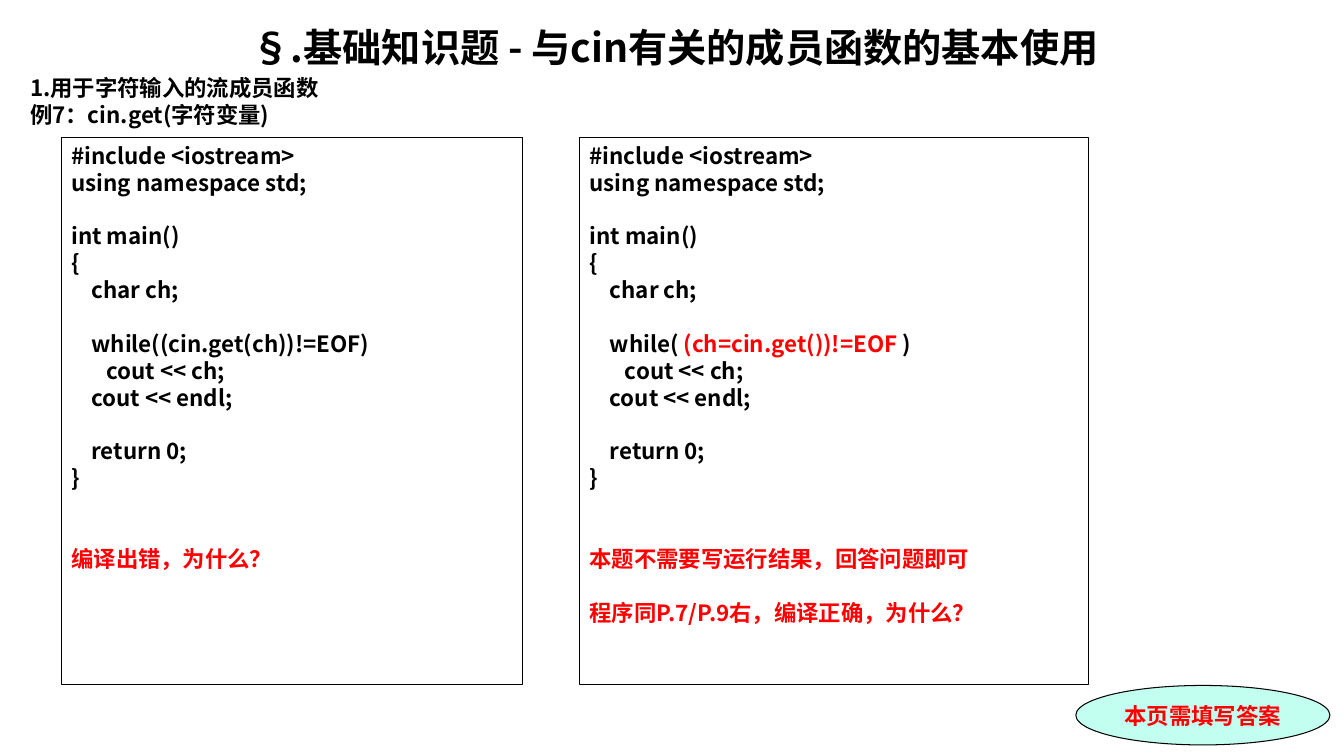
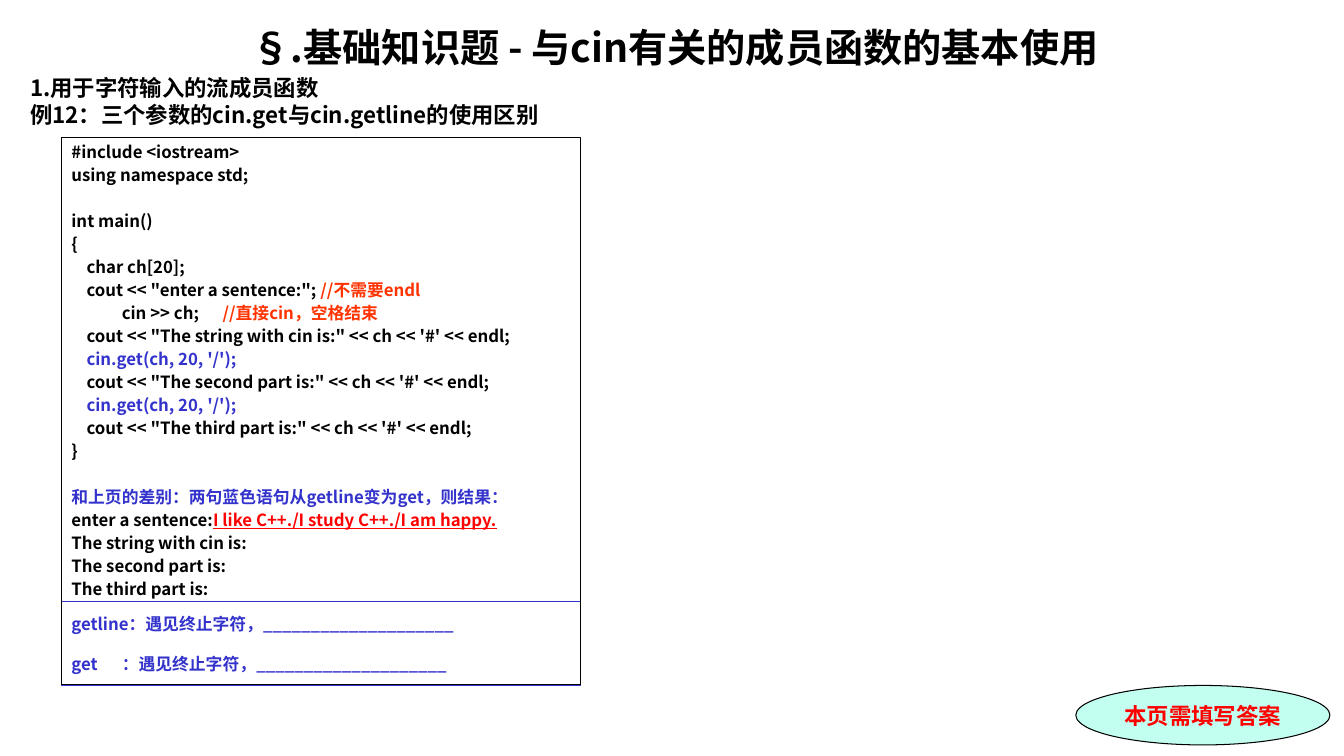
from lxml import etree
from pptx import Presentation
from pptx.dml.color import RGBColor
from pptx.enum.shapes import MSO_SHAPE
from pptx.enum.text import MSO_ANCHOR, PP_ALIGN
from pptx.oxml.ns import qn
from pptx.util import Inches, Pt

RECT, OVAL = MSO_SHAPE.RECTANGLE, MSO_SHAPE.OVAL
LEFT, CENTER = PP_ALIGN.LEFT, PP_ALIGN.CENTER
TOP, MIDDLE = MSO_ANCHOR.TOP, MSO_ANCHOR.MIDDLE

THEME = {
    "font": "Noto Sans CJK SC", "badge_font": "Times New Roman",
    "black": "000000", "red": "FF0000", "orange": "FF3300",
    "blue": "3333CC", "mint": "C2FFF0",
    "title": 28, "body": 16, "small": 12, "leading": 1.2,
}
BLACK, RED, ORANGE, BLUE = (THEME[c] for c in ("black", "red", "orange", "blue"))
BODY, SMALL = THEME["body"], THEME["small"]


def write(tf, lines, size=BODY, color=BLACK, font=THEME["font"], align=LEFT,
          before=0, tabs=(), new=True):
    """Blank lines become space before the next line, leading spaces an indent."""
    leading = size * THEME["leading"]
    gap = before
    for line in lines:
        if not line:
            gap += leading + before
            continue
        runs = [(line, color)] if isinstance(line, str) else line
        p = tf.paragraphs[0] if new else tf.add_paragraph()
        new = False
        p.alignment = align
        p.line_spacing = Pt(leading)
        p.space_before = Pt(gap)
        p.space_after = Pt(0)
        gap = before
        first = runs[0][0]
        spaces = len(first) - len(first.lstrip(" "))
        pPr = p._p.get_or_add_pPr()
        pPr.set("marL", str(Inches(spaces * size / 320)))
        pPr.set("indent", "0")
        if "\t" in first:
            tab_list = etree.SubElement(pPr, qn("a:tabLst"))
            for pos in tabs:
                etree.SubElement(tab_list, qn("a:tab"), pos=str(Inches(pos)), algn="l")
        for i, (text, run_color, *underline) in enumerate(runs):
            r = p.add_run()
            r.text = text if i else text.lstrip(" ")
            r.font.size = Pt(size)
            r.font.name = font
            r.font.bold = True
            r.font.underline = bool(underline)
            r.font.color.rgb = RGBColor.from_string(run_color)
            etree.SubElement(r._r.get_or_add_rPr(), qn("a:ea"), typeface=THEME["font"])


def add_box(s, kind, at, lines, fill=None, line=BLACK, anchor=TOP, wrap=True, **fmt):
    sp = s.shapes.add_shape(kind, *map(Inches, at))
    sp.shadow.inherit = False
    if fill:
        sp.fill.solid()
        sp.fill.fore_color.rgb = RGBColor.from_string(fill)
    else:
        sp.fill.background()
    sp.line.color.rgb = RGBColor.from_string(line)
    sp.line.width = Pt(0.75)
    tf = sp.text_frame
    tf.word_wrap = wrap
    tf.vertical_anchor = anchor
    write(tf, lines, **fmt)


HEAD = ["#include <iostream>", "using namespace std;", "", "int main()", "{"]
TAIL = ["       cout << ch;", "    cout << endl;", "", "    return 0;", "}", "", ""]

get_variable = [
    *HEAD, "    char ch;", "",
    "    while((cin.get(ch))!=EOF)",
    *TAIL,
    [("编译出错，为什么？", RED)],
]
get_value = [
    *HEAD, "    char ch;", "",
    [("    while( ", BLACK), ("(ch=cin.get())!=EOF ", RED), (")", BLACK)],
    *TAIL,
    [("本题不需要写运行结果，回答问题即可", RED)], "",
    [("程序同P.7/P.9右，编译正确，为什么？", RED)],
]
get_call = [("    cin.get(ch, 20, '/');", BLUE)]
get_sentence = [
    *HEAD, "    char ch[20];",
    [('    cout << "enter a sentence:"; ', BLACK), ("//不需要endl", ORANGE)],
    [("\tcin >> ch;\t", BLACK), ("//直接cin，空格结束", ORANGE)],
    "    cout << \"The string with cin is:\" << ch << '#' << endl;",
    get_call,
    "    cout << \"The second part is:\" << ch << '#' << endl;",
    get_call,
    "    cout << \"The third part is:\" << ch << '#' << endl;",
    "}", "",
    [("和上页的差别：两句蓝色语句从getline变为get，则结果：", BLUE)],
    [("enter a sentence:", BLACK), ("I like C++./I study C++./I am happy.", RED, True)],
    "The string with cin is:", "The second part is:", "The third part is:",
]
blank_answer = "：遇见终止字符，" + "_" * 20
answers = ["getline" + blank_answer, "", "get\t" + blank_answer]

CODE_TOP, CODE_HEIGHT = 1.36, 5.43
SLIDES = [
    ("例7：cin.get(字符变量)", [], [
        (0.61, 4.57, get_variable, {}),
        (5.75, 5.05, get_value, {}),
    ]),
    ("例12：三个参数的cin.get与cin.getline的使用区别", answers, [
        (0.61, 5.15, get_sentence, {"size": SMALL, "before": 2, "tabs": (0.15, 1.34)}),
    ]),
]

prs = Presentation()
prs.slide_width, prs.slide_height = Inches(13.33), Inches(7.5)

for example, answer_lines, listings in SLIDES:
    s = prs.slides.add_slide(prs.slide_layouts[6])
    tf = s.shapes.add_textbox(*map(Inches, (0.2, 0.18, 12.99, 7.09))).text_frame
    tf.word_wrap = True
    write(tf, ["§.基础知识题 - 与cin有关的成员函数的基本使用"],
          size=THEME["title"], align=CENTER)
    write(tf, ["1.用于字符输入的流成员函数"], before=3.2, new=False)
    write(tf, [example], new=False)

    if answer_lines:
        add_box(s, RECT, (0.61, 5.97, 5.15, 0.83), answer_lines, line=BLUE,
                anchor=MIDDLE, wrap=False, size=SMALL, color=BLUE, tabs=(0.41,))
    add_box(s, OVAL, (10.67, 6.8, 2.52, 0.59), ["本页需填写答案"], fill=THEME["mint"],
            anchor=MIDDLE, color=RED, font=THEME["badge_font"], align=CENTER)
    for left, width, code, fmt in listings:
        add_box(s, RECT, (left, CODE_TOP, width, CODE_HEIGHT), code, **fmt)

prs.save("out.pptx")
